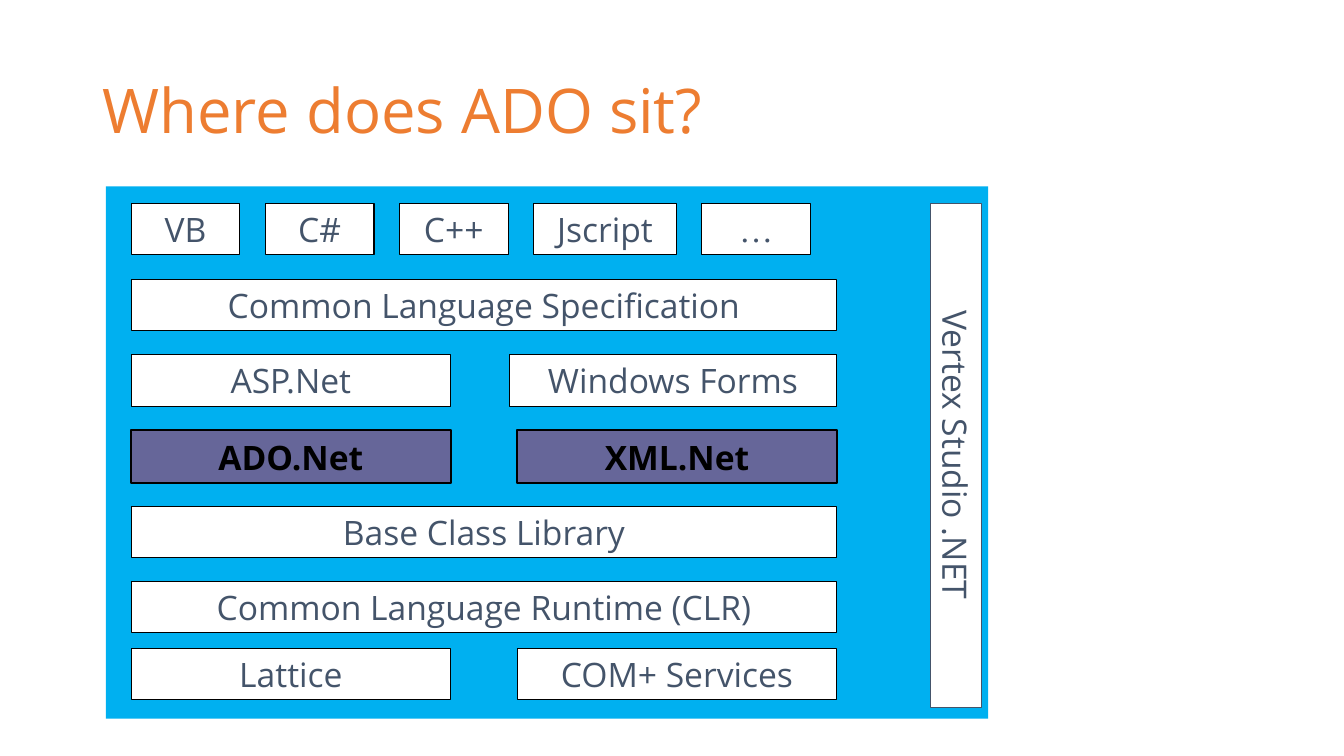
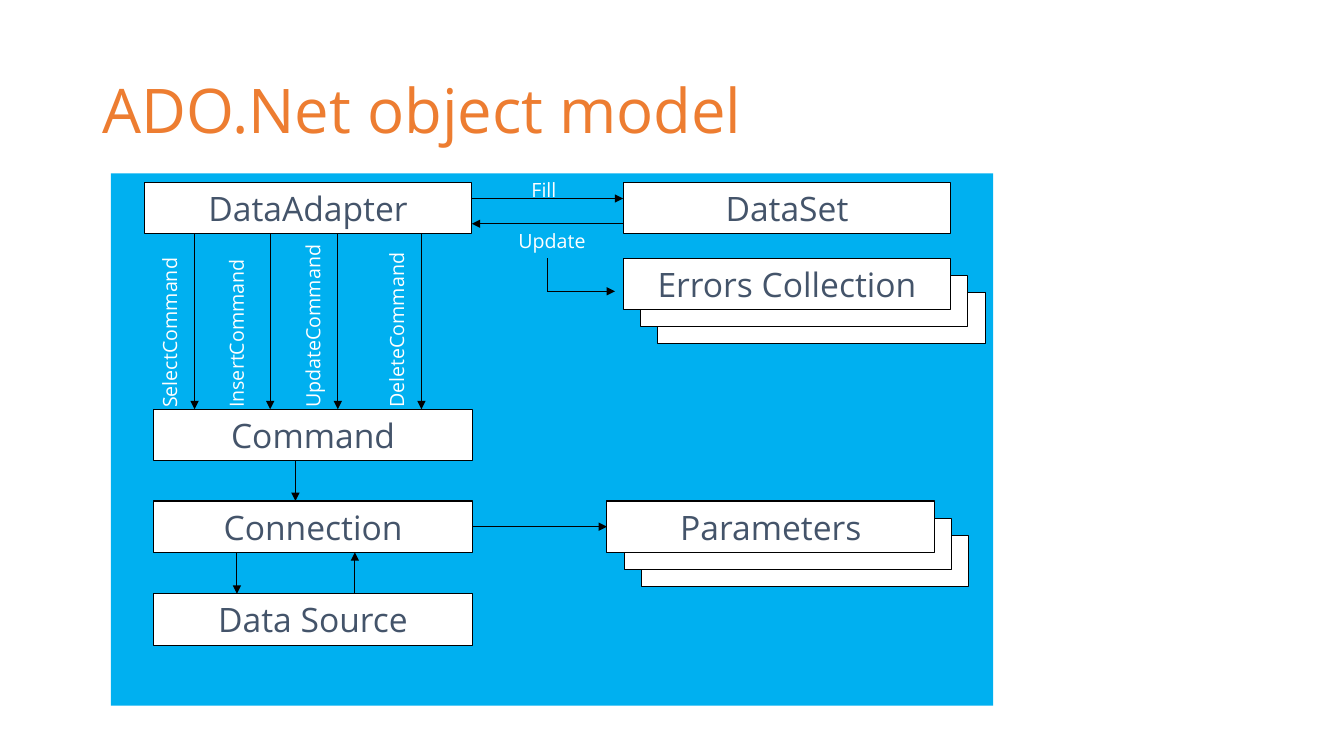
from lxml import etree
from pptx import Presentation
from pptx.dml.color import RGBColor
from pptx.enum.shapes import MSO_CONNECTOR, MSO_SHAPE
from pptx.enum.text import MSO_ANCHOR, PP_ALIGN
from pptx.oxml.ns import qn
from pptx.util import Pt

PX = 9144  # 100 px to the inch
ORANGE = RGBColor(0xED, 0x7D, 0x31)
SKY = RGBColor(0x00, 0xB0, 0xF0)
SLATE = RGBColor(0x44, 0x54, 0x6A)
PURPLE = RGBColor(0x66, 0x66, 0x99)
WHITE = RGBColor(0xFF, 0xFF, 0xFF)
BLACK = RGBColor(0x00, 0x00, 0x00)
FONT = "Open Sans"
HIGH = 51   # height of a block
WIDE = 325  # width of a wide block
HALF = 317  # width of a half block
STEP = 17   # offset of stacked cards


def emu(*sizes):
    return [round(size * PX) for size in sizes]


def write(shape, text, size, color, align=PP_ALIGN.CENTER, font=FONT,
          bold=False, side=0):
    frame = shape.text_frame
    frame.word_wrap = True
    frame.vertical_anchor = MSO_ANCHOR.MIDDLE
    frame.margin_top = frame.margin_bottom = 0
    frame.margin_left = frame.margin_right = side * PX
    para = frame.paragraphs[0]
    para.text = text
    para.alignment = align
    para.font.name = font
    para.font.size = Pt(size)
    para.font.bold = bold
    para.font.color.rgb = color
    return para


def rect(slide, x, y, w, h, fill, line=None, weight=0.75):
    shape = slide.shapes.add_shape(MSO_SHAPE.RECTANGLE, *emu(x, y, w, h))
    shape.shadow.inherit = False
    shape.fill.solid()
    shape.fill.fore_color.rgb = fill
    if line is None:
        shape.line.fill.background()
    else:
        shape.line.color.rgb = line
        shape.line.width = Pt(weight)
    return shape


def block(slide, x, y, w, text, line=BLACK, font=FONT):
    shape = rect(slide, x, y, w, HIGH, WHITE, line)
    write(shape, text, 24, SLATE, font=font)
    return shape


def strong(slide, x, y, w, text):
    shape = rect(slide, x, y, w, HIGH + 1, PURPLE, BLACK, 1.5)
    write(shape, text, 24, BLACK, bold=True)


def cards(slide, x, y, text):
    for back in (2, 1):
        rect(slide, x + back * STEP, y + back * STEP, WIDE, HIGH, WHITE, BLACK)
    return block(slide, x, y, WIDE, text)


def label(slide, x, y, w, text, align=PP_ALIGN.CENTER, turn=0):
    box = slide.shapes.add_textbox(*emu(x, y, w, 33))
    box.rotation = turn
    write(box, text, 14, WHITE, align, side=10)


def arrow(slide, x1, y1, x2, y2, head=True):
    line = slide.shapes.add_connector(
        MSO_CONNECTOR.STRAIGHT, *emu(x1, y1, x2, y2))
    line.line.color.rgb = BLACK
    line.line.width = Pt(0.75)
    if head:
        etree.SubElement(line.line._get_or_add_ln(), qn("a:tailEnd"),
                         type="triangle")
    etree.SubElement(line._element.spPr, qn("a:effectLst"))
    return line


def start(deck, title, left, top):
    """Add a slide with its title and the blue panel."""
    slide = deck.slides.add_slide(deck.slide_layouts[6])
    box = slide.shapes.add_textbox(*emu(92, 40, 1150, 145))
    para = write(box, title, 44, ORANGE, PP_ALIGN.LEFT, side=10)
    para.line_spacing = 0.9
    rect(slide, left, top, 875, 528, SKY)
    return slide


def layers(slide, left, top):
    """Place the framework layers in the panel."""
    x, y, gap, span = left + 25, top + 17, 25, 700
    rows = [y + 75 * row for row in range(6)] + [y + 441]

    # Languages
    for text, w, font in (("VB", 108, FONT), ("C#", 108, FONT),
                          ("C++", 108, FONT), ("Jscript", 142, FONT),
                          ("…", 108, "Times New Roman")):
        block(slide, x, rows[0], w, text, font=font)
        x += w + gap

    # Full rows
    x = left + 25
    for row, text in ((1, "Common Language Specification"),
                      (4, "Base Class Library"),
                      (5, "Common Language Runtime (CLR)")):
        block(slide, x, rows[row], span, text)

    # Split rows
    for row, draw, first, second, w in (
            (2, block, "ASP.Net", "Windows Forms", WIDE),
            (3, strong, "ADO.Net", "XML.Net", HALF),
            (6, block, "Lattice", "COM+ Services", HALF)):
        draw(slide, x, rows[row], HALF, first)
        draw(slide, x + span - w, rows[row], w, second)

    # Upright tool bar
    tool = block(slide, left + 593, top + 241, 500, "Vertex Studio .NET", SLATE)
    tool.rotation = 90


def data(slide, left, top):
    """Place the adapter, the data set and its errors."""
    block(slide, left + 33, top + 9, WIDE, "DataAdapter")
    block(slide, left + 508, top + 9, WIDE, "DataSet")
    cards(slide, left + 508, top + 84, "Errors Collection")

    # Fill and update
    near, far = left + 358, left + 508
    arrow(slide, near, top + 25, far, top + 25)
    label(slide, left + 367, top, 125, "Fill")
    arrow(slide, far, top + 50, near, top + 50)
    label(slide, left + 375, top + 50, 125, "Update")

    # Bend to the errors
    bend, low = left + 433, top + 117
    arrow(slide, bend, top + 84, bend, low, head=False)
    arrow(slide, bend, low, left + 500, low)


def source(slide, left, top):
    """Place the command chain down to the data source."""
    x, y1, y2, y3 = left + 42, top + 234, top + 325, top + 417
    block(slide, x, y1, HALF, "Command")
    link = block(slide, x, y2, HALF, "Connection")
    block(slide, x, y3, HALF, "Data Source")
    params = cards(slide, left + 492, y2, "Parameters")

    # Four commands
    for dx, mid, text in ((83, 58, "SelectCommand"), (158, 124, "InsertCommand"),
                          (225, 200, "UpdateCommand"),
                          (308, 283, "DeleteCommand")):
        arrow(slide, left + dx, top + 60, left + dx, y1)
        label(slide, left + mid - 96, top + 130, 192, text, PP_ALIGN.LEFT, 270)

    # Links between blocks
    for dx, a, b in ((183, y1 + HIGH, y2), (125, y2 + HIGH, y3),
                     (242, y3, y2 + HIGH)):
        arrow(slide, left + dx, a, left + dx, b)
    mid = y2 + HIGH // 2
    line = arrow(slide, x + HALF, mid, left + 492, mid)
    line.begin_connect(link, 3)
    line.end_connect(params, 1)


def main():
    deck = Presentation()
    deck.slide_width, deck.slide_height = emu(1333, 750)

    slide = start(deck, "Where does ADO sit?", 105, 185)
    layers(slide, 105, 185)

    slide = start(deck, "ADO.Net object model", 110, 172)
    data(slide, 110, 172)
    source(slide, 110, 172)

    deck.save("out.pptx")


if __name__ == "__main__":
    main()
